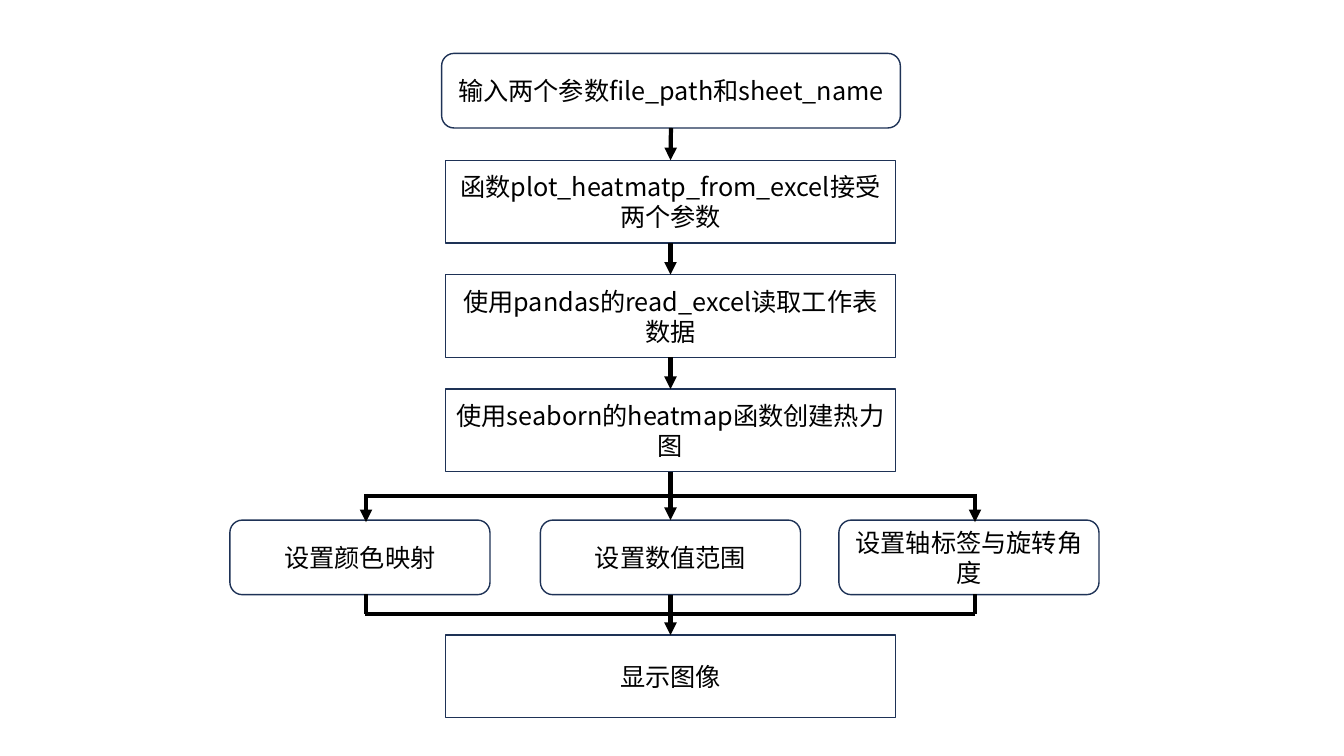
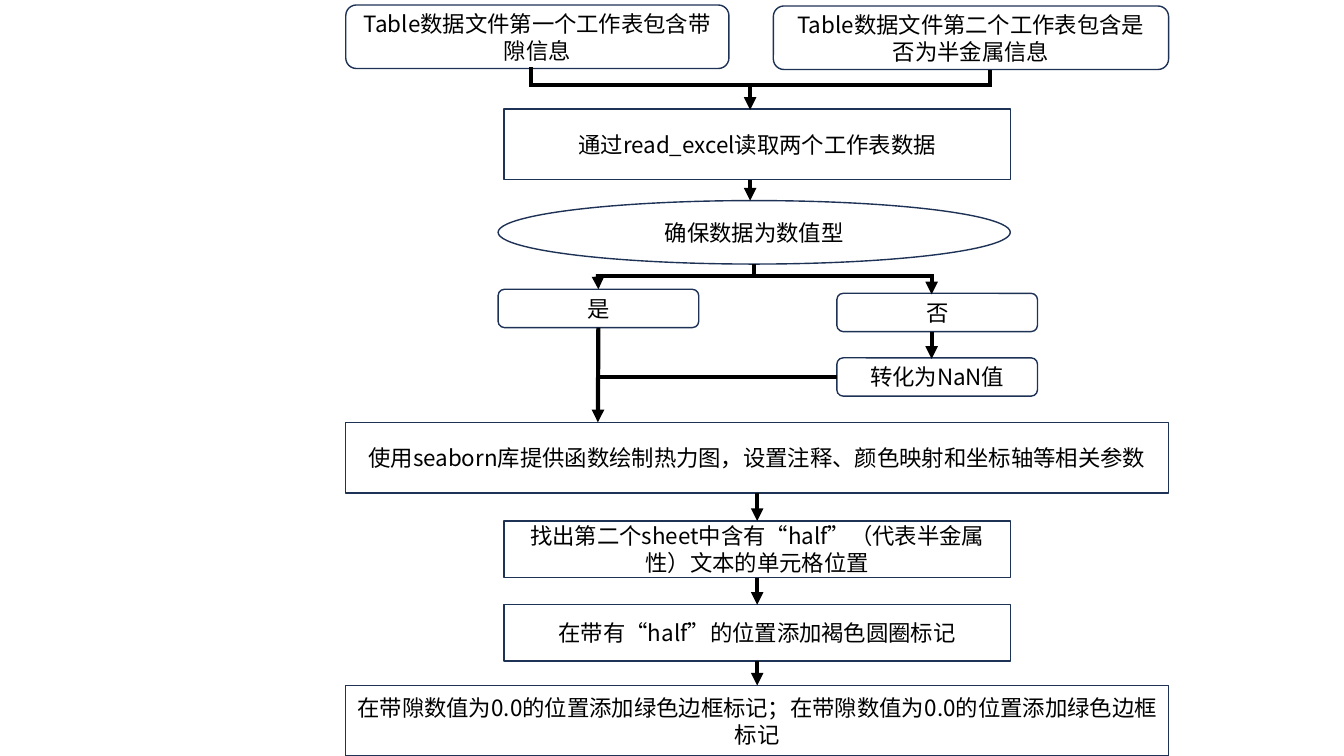
from dataclasses import dataclass
from itertools import pairwise

from lxml.etree import SubElement
from pptx import Presentation
from pptx.dml.color import RGBColor
from pptx.enum.lang import MSO_LANGUAGE_ID
from pptx.enum.shapes import MSO_CONNECTOR, MSO_SHAPE
from pptx.enum.text import MSO_ANCHOR, PP_ALIGN
from pptx.oxml.ns import qn
from pptx.util import Inches, Pt

COLORS = {"ink": "000000", "edge": "1E3256"}
FONT = "Noto Sans CJK SC"
RECT = MSO_SHAPE.RECTANGLE
ROUND = MSO_SHAPE.ROUNDED_RECTANGLE
OVAL = MSO_SHAPE.OVAL
TOP, LEFT, BOTTOM = 0, 1, 2


@dataclass(frozen=True)
class Box:
    text: str
    left: float
    top: float
    width: float
    height: float
    kind: MSO_SHAPE = RECT


@dataclass(frozen=True)
class Dock:
    """The middle of one side of a box."""
    box: Box
    side: int

    @property
    def point(self) -> tuple[float, float]:
        box = self.box
        mid_x, mid_y = box.left + box.width / 2, box.top + box.height / 2
        return {TOP: (mid_x, box.top), LEFT: (box.left, mid_y),
                BOTTOM: (mid_x, box.top + box.height)}[self.side]


End = Dock | tuple[float, float]


@dataclass(frozen=True)
class Link:
    start: End
    end: End
    arrow: bool = False


def color(name: str) -> RGBColor:
    return RGBColor.from_string(COLORS[name])


def chain(*boxes: Box) -> list[Link]:
    """Arrows that lead down from each box to the next."""
    return [Link(Dock(a, BOTTOM), Dock(b, TOP), True) for a, b in pairwise(boxes)]


def draw_box(slide, box: Box, size: int):
    shape = slide.shapes.add_shape(
        box.kind, Inches(box.left), Inches(box.top),
        Inches(box.width), Inches(box.height))
    shape.shadow.inherit = False
    shape.fill.background()
    shape.line.color.rgb = color("edge")
    shape.line.width = Pt(1)
    frame = shape.text_frame
    frame.word_wrap = True
    frame.vertical_anchor = MSO_ANCHOR.MIDDLE
    para = frame.paragraphs[0]
    para.alignment = PP_ALIGN.CENTER
    run = para.add_run()
    run.text = box.text
    font = run.font
    font.size = Pt(size)
    font.name = FONT
    font.color.rgb = color("ink")
    font.language_id = MSO_LANGUAGE_ID.SIMPLIFIED_CHINESE
    SubElement(run._r.get_or_add_rPr(), qn("a:ea"), typeface=FONT)
    return shape


def draw_link(slide, link: Link, shapes: dict) -> None:
    ends = [e.point if isinstance(e, Dock) else e for e in (link.start, link.end)]
    line = slide.shapes.add_connector(
        MSO_CONNECTOR.STRAIGHT, *(Inches(v) for point in ends for v in point))
    if isinstance(link.start, Dock):
        line.begin_connect(shapes[link.start.box], link.start.side)
    if isinstance(link.end, Dock):
        line.end_connect(shapes[link.end.box], link.end.side)
    line.line.color.rgb = color("ink")
    line.line.width = Pt(3)
    if link.arrow:
        SubElement(line.line._get_or_add_ln(), qn("a:tailEnd"), type="triangle")
    SubElement(line._element.spPr, qn("a:effectLst"))


def draw_chart(deck, boxes: list[Box], links: list[Link], size: int) -> None:
    slide = deck.slides.add_slide(deck.slide_layouts[6])
    shapes = {box: draw_box(slide, box, size) for box in boxes}
    for link in links:
        draw_link(slide, link, shapes)


def add_plot(deck) -> None:
    """Flow of the heat map function."""
    entry = Box("输入两个参数file_path和sheet_name", 4.38, 0.53, 4.55, 0.74, ROUND)
    texts = ("函数plot_heatmatp_from_excel接受两个参数",
             "使用pandas的read_excel读取工作表数据",
             "使用seaborn的heatmap函数创建热力图")
    steps = [Box(text, 4.42, 1.59 + 1.135 * i, 4.46, 0.82)
             for i, text in enumerate(texts)]
    modes = [Box(text, left, 5.16, 2.58, 0.74, ROUND) for text, left in (
        ("设置颜色映射", 2.28), ("设置数值范围", 5.36), ("设置轴标签与旋转角度", 8.32))]
    show = Box("显示图像", 4.42, 6.3, 4.46, 0.82)

    west, east, fork, join = 3.63, 9.67, 4.92, 6.09
    links = chain(entry, *steps, modes[1], show)
    links += [Link((west - 0.01, y), (east, y)) for y in (fork, join)]
    for x in (west, east):
        links += [Link((x, fork - 0.02), (x, 5.18), True),
                  Link((x, join), (x, 5.89))]
    draw_chart(deck, [entry, *steps, *modes, show], links, 18)


def add_marks(deck) -> None:
    """Flow of reading, checking and marking the data."""
    gap = Box("Table数据文件第一个工作表包含带隙信息", 3.43, 0.05, 3.8, 0.63, ROUND)
    metal = Box("Table数据文件第二个工作表包含是否为半金属信息",
                7.67, 0.06, 3.92, 0.63, ROUND)
    read = Box("通过read_excel读取两个工作表数据", 5, 1.08, 5.02, 0.7)
    check = Box("确保数据为数值型", 4.94, 1.99, 5.08, 0.63, OVAL)
    yes = Box("是", 4.94, 2.87, 1.99, 0.38, ROUND)
    no = Box("否", 8.3, 2.91, 1.99, 0.38, ROUND)
    blank = Box("转化为NaN值", 8.3, 3.55, 1.99, 0.38, ROUND)
    plot = Box("使用seaborn库提供函数绘制热力图，设置注释、颜色映射和坐标轴等相关参数",
               3.43, 4.19, 8.16, 0.7)
    find = Box("找出第二个sheet中含有“half”（代表半金属性）文本的单元格位置",
               5, 5.17, 5.02, 0.56)
    ring = Box("在带有“half”的位置添加褐色圆圈标记", 5, 6, 5.02, 0.56)
    frame = Box("在带隙数值为0.0的位置添加绿色边框标记；在带隙数值为0.0的位置添加绿色边框标记",
                3.43, 6.8, 8.16, 0.7)

    west, east, trunk = 5.93, 9.24, 7.44
    merge, fork = 0.84, 2.74
    links = [
        Link((5.27, merge), (9.82, merge)),
        Link((5.27, merge + 0.02), (5.27, 0.66)),
        Link((9.82, merge + 0.02), (9.82, 0.69)),
        Link((trunk, merge), (trunk, 1.09), True),
        Link((trunk, 1.79), (trunk, 1.99), True),
        Link((7.48, fork), (7.48, 2.62)),
        Link((west, fork), (east, fork)),
        Link((west, fork - 0.02), Dock(yes, TOP), True),
        Link((east, fork - 0.02), (east, 2.92), True),
        Link((east, 3.29), (east, 3.56), True),
        Link(Dock(yes, BOTTOM), (west, 4.19), True),
        Link((west, 3.74), Dock(blank, LEFT)),
        *chain(plot, find, ring, frame),
    ]
    boxes = [gap, metal, read, check, yes, no, blank, plot, find, ring, frame]
    draw_chart(deck, boxes, links, 16)


def main() -> None:
    deck = Presentation()
    deck.slide_width, deck.slide_height = Inches(13.33), Inches(7.5)
    add_plot(deck)
    add_marks(deck)
    deck.save("out.pptx")


if __name__ == "__main__":
    main()
